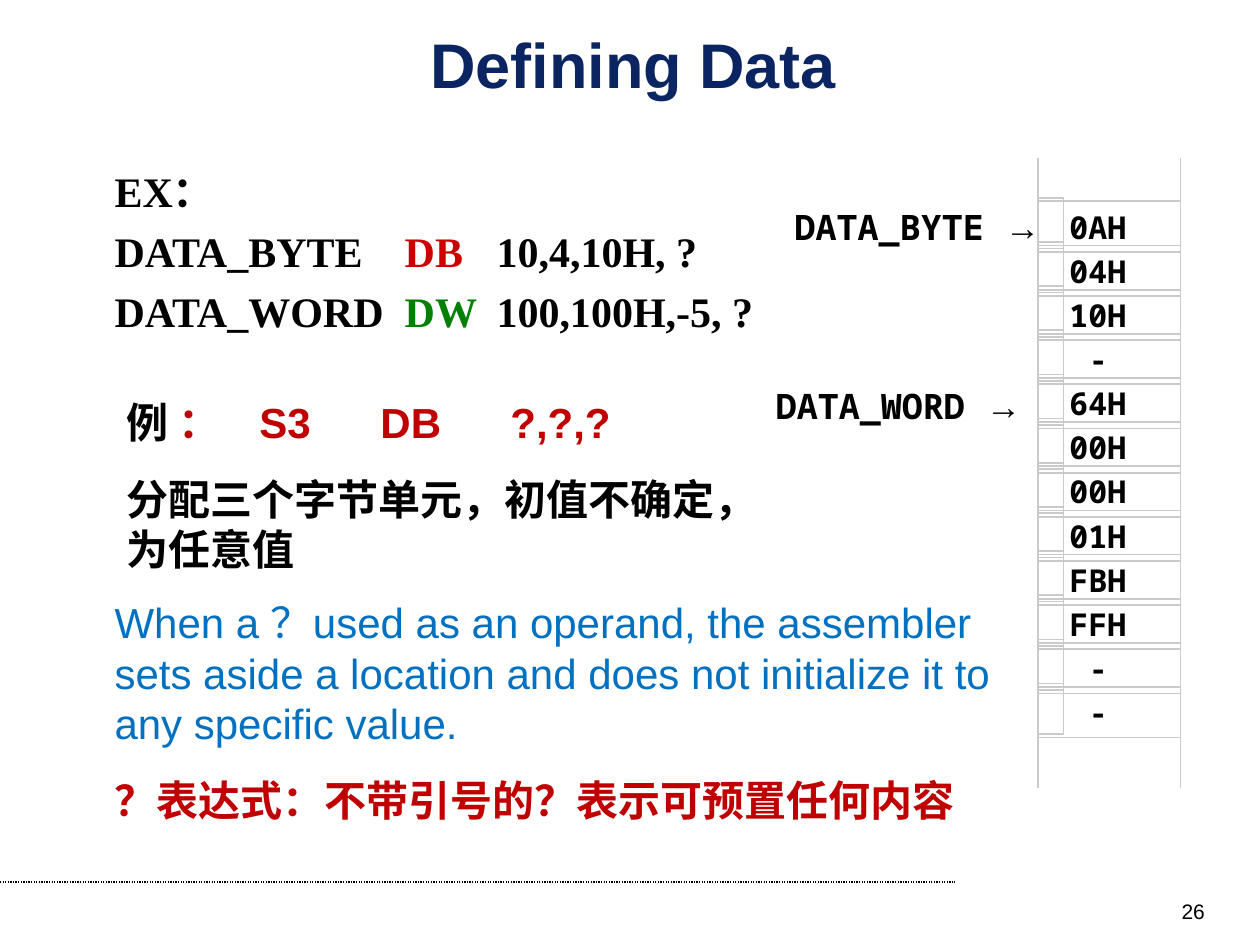
from dataclasses import dataclass

from lxml.etree import SubElement
from pptx import Presentation
from pptx.dml.color import RGBColor
from pptx.enum.dml import MSO_LINE
from pptx.enum.shapes import MSO_CONNECTOR, MSO_SHAPE
from pptx.enum.text import MSO_ANCHOR, PP_ALIGN
from pptx.oxml.ns import qn
from pptx.util import Cm, Pt


@dataclass(frozen=True)
class Theme:
    black: str = "000000"
    navy: str = "0A2562"
    blue: str = "0070C0"
    red: str = "C00000"
    bright_red: str = "CC0000"
    green: str = "008000"
    grid: str = "CACACA"
    sans: str = "Arial"
    serif: str = "Times New Roman"
    mono: str = "Noto Sans Mono"
    title: int = 36
    body: int = 24
    label: int = 20
    cell: int = 18
    footer: int = 12


THEME = Theme()

# Memory column, in cm
MEMORY_BYTES = ["0AH", "04H", "10H", "-", "64H", "00H",
                "00H", "01H", "FBH", "FFH", "-", "-"]
MEMORY_LEFT, MEMORY_WIDTH = 20.93, 2.87
FIRST_ROW_TOP, ROW_PITCH, ROW_HEIGHT = 4.06, 0.89, 1.02
MARKER_WIDTH, MARKER_RISE = 0.51, 0.07


def write(paragraph, *runs, size=THEME.body, font=THEME.sans, color=THEME.black,
          bold=False, align=PP_ALIGN.LEFT, before=0, spacing=None, tabs=()):
    """Fill a paragraph; a run is a string or (string, format overrides)."""
    paragraph.alignment = align
    paragraph.space_before = Pt(before)
    if spacing:
        paragraph.line_spacing = spacing
    if tabs:
        tab_list = SubElement(paragraph._p.get_or_add_pPr(), qn("a:tabLst"))
        for stop in tabs:
            SubElement(tab_list, qn("a:tab"), pos=str(Cm(stop)), algn="l")
    for item in runs:
        text, changes = (item, {}) if isinstance(item, str) else item
        run = paragraph.add_run()
        run.text = text
        run.font.size = Pt(size)
        run.font.bold = bold
        run.font.name = changes.get("font", font)
        run.font.color.rgb = RGBColor.from_string(changes.get("color", color))


def add_text(slide, left, top, width, height):
    frame = slide.shapes.add_textbox(Cm(left), Cm(top), Cm(width), Cm(height)).text_frame
    frame.word_wrap = True
    return frame


def add_line(slide, x1, y1, x2, y2, color, width):
    line = slide.shapes.add_connector(MSO_CONNECTOR.STRAIGHT, Cm(x1), Cm(y1), Cm(x2), Cm(y2))
    line.line.color.rgb = RGBColor.from_string(color)
    line.line.width = Pt(width)
    SubElement(line._element.spPr, qn("a:effectLst"))
    return line


def add_cell(slide, left, top, width):
    cell = slide.shapes.add_shape(MSO_SHAPE.RECTANGLE, Cm(left), Cm(top),
                                  Cm(width), Cm(ROW_HEIGHT))
    cell.shadow.inherit = False
    cell.fill.background()
    cell.line.color.rgb = RGBColor.from_string(THEME.grid)
    cell.line.width = Pt(1)
    return cell


def add_memory(slide):
    for row, value in enumerate(MEMORY_BYTES):
        top = FIRST_ROW_TOP + row * ROW_PITCH
        add_cell(slide, MEMORY_LEFT, top - MARKER_RISE, MARKER_WIDTH)
        frame = add_cell(slide, MEMORY_LEFT, top, MEMORY_WIDTH).text_frame
        frame.vertical_anchor = MSO_ANCHOR.TOP
        frame.margin_left = Cm(1.02 if value == "-" else 0.63)
        write(frame.paragraphs[0], value, size=THEME.cell, font=THEME.mono, bold=True)
    # Open ends of the column
    for x in (MEMORY_LEFT, MEMORY_LEFT + MEMORY_WIDTH):
        for top in (3.18, 14.76):
            add_line(slide, x, top, x, top + 1.12, THEME.grid, 1)


def add_pointer(slide, name, left, top):
    frame = add_text(slide, left, top, 5.84, 1.12)
    write(frame.paragraphs[0], f"{name} ", ("→", {"font": THEME.sans}),
          size=THEME.label, font=THEME.mono, bold=True)


def add_definitions(slide):
    frame = add_text(slide, 2.06, 3, 14.6, 3.91)
    style = dict(font=THEME.serif, bold=True, align=PP_ALIGN.JUSTIFY,
                 spacing=1.2, tabs=(5.85, 7.7))
    write(frame.paragraphs[0], "EX：", **style)
    for name, directive, color, values in (
            ("DATA_BYTE", "DB", THEME.bright_red, "10,4,10H, ?"),
            ("DATA_WORD", "DW", THEME.green, "100,100H,-5, ?")):
        write(frame.add_paragraph(), f"{name}\t", (directive, {"color": color}),
              f"\t{values}", **style)


def add_example(slide):
    frame = add_text(slide, 2.31, 7.87, 13.56, 3.84)
    write(frame.paragraphs[0], "例 ", ("：\tS3\tDB\t?,?,?", {"color": THEME.red}),
          bold=True, tabs=(2.67, 5.11, 7.73))
    write(frame.add_paragraph(), "分配三个字节单元，初值不确定，为任意值", bold=True, before=15)


def add_explanation(slide):
    frame = add_text(slide, 2.06, 11.91, 18.87, 4.85)
    write(frame.paragraphs[0],
          "When a ？used as an operand, the assembler sets aside a location "
          "and does not initialize it to any specific value.", color=THEME.blue)
    write(frame.add_paragraph(), "？表达式：不带引号的？表示可预置任何内容",
          color=THEME.red, bold=True, before=15)


def add_title(slide):
    title = slide.shapes.title
    title.left, title.top, title.width, title.height = Cm(1.27), Cm(0.64), Cm(22.99), Cm(1.27)
    title.text_frame.vertical_anchor = MSO_ANCHOR.MIDDLE
    write(title.text_frame.paragraphs[0], "Defining Data", size=THEME.title,
          color=THEME.navy, bold=True, align=PP_ALIGN.CENTER)


def add_footer(slide):
    rule = add_line(slide, 0, 17.78, 19.25, 17.78, THEME.black, 0.75)
    rule.line.dash_style = MSO_LINE.ROUND_DOT
    number = add_text(slide, 18.62, 17.98, 5.92, 0.69)
    write(number.paragraphs[0], "26", size=THEME.footer, align=PP_ALIGN.RIGHT)


def main():
    deck = Presentation()
    deck.slide_width, deck.slide_height = Cm(25.4), Cm(19.05)
    slide = deck.slides.add_slide(deck.slide_layouts[5])

    add_title(slide)
    add_footer(slide)
    # Data definitions and the memory they fill
    add_definitions(slide)
    add_memory(slide)
    add_pointer(slide, "DATA_BYTE", 15.77, 4.01)
    add_pointer(slide, "DATA_WORD", 15.39, 7.62)
    # Meaning of the question mark
    add_explanation(slide)
    add_example(slide)

    deck.save("out.pptx")


if __name__ == "__main__":
    main()
